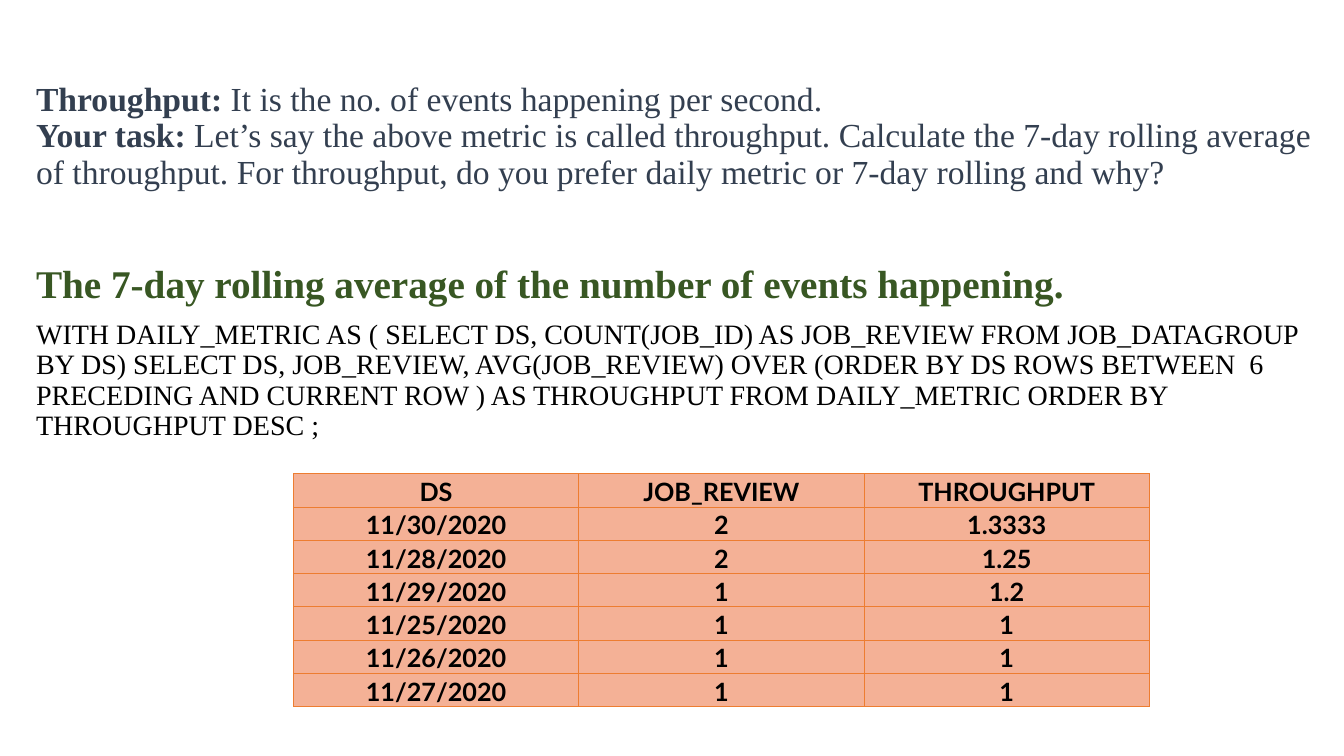
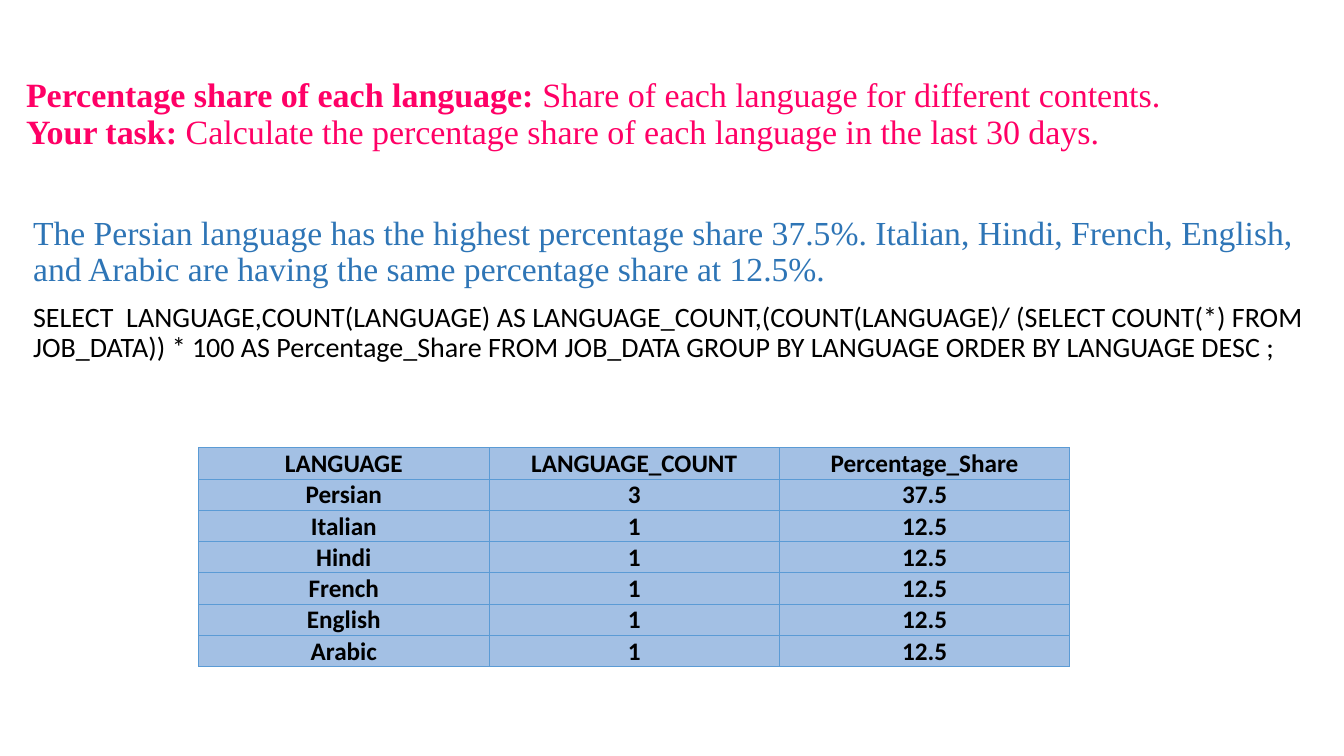
import pptx
import pptx.util
import pptx.dml.color
import pptx.enum.text
import pptx.oxml
import pptx.oxml.ns
from pptx.util import Inches

THEME = {
    "serif": "Times New Roman", "sans": "Calibri", "grid": "Lato",
    "black": "000000", "slate": "333F50", "green": "385723",
    "pink": "FF0066", "blue": "2E75B6",
    "orange_fill": "F4B196", "orange_line": "ED7D31",
    "blue_fill": "A3C0E4", "blue_line": "5B9BD5",
    "lead": 24, "share_lead": 24.3, "heading": 28, "query": 20, "cell": 18,
    "line_spacing": 0.9, "space_before": 10, "border": 0.5,
}


def add_text(slide, left, top, width, height, paragraphs):
    """Each paragraph is (space before, size, font, colour, [(text, bold), ...])."""
    frame = slide.shapes.add_textbox(
        Inches(left), Inches(top), Inches(width), Inches(height)).text_frame
    frame.word_wrap = True
    for index, (before, size, font, colour, pieces) in enumerate(paragraphs):
        paragraph = frame.paragraphs[0] if index == 0 else frame.add_paragraph()
        paragraph.line_spacing = THEME["line_spacing"]
        paragraph.space_before = pptx.util.Pt(before)
        for text, bold in pieces:
            run = paragraph.add_run()
            run.text = text
            run.font.name = THEME[font]
            run.font.size = pptx.util.Pt(THEME[size])
            run.font.bold = bold
            run.font.color.rgb = pptx.dml.color.RGBColor.from_string(THEME[colour])


def add_result_table(slide, left, top, column_width, row_height, font, hue, rows):
    table = slide.shapes.add_table(
        len(rows), len(rows[0]), Inches(left), Inches(top),
        Inches(column_width * len(rows[0])), Inches(row_height * len(rows))).table
    for column in table.columns:
        column.width = Inches(column_width)
    for row, values in zip(table.rows, rows):
        row.height = Inches(row_height)
        for cell, value in zip(row.cells, values):
            cell.margin_left = cell.margin_right = cell.margin_top = Inches(0.01)
            cell.margin_bottom = 0
            cell.vertical_anchor = pptx.enum.text.MSO_ANCHOR.BOTTOM
            cell.text_frame.text = value
            paragraph = cell.text_frame.paragraphs[0]
            paragraph.alignment = pptx.enum.text.PP_ALIGN.CENTER
            text_font = paragraph.runs[0].font
            text_font.name = THEME[font]
            text_font.size = pptx.util.Pt(THEME["cell"])
            text_font.bold = True
            text_font.color.rgb = pptx.dml.color.RGBColor.from_string(THEME["black"])
            # Borders come before the fill in the cell properties
            properties = cell._tc.get_or_add_tcPr()
            for side in ("lnL", "lnR", "lnT", "lnB"):
                properties.append(pptx.oxml.parse_xml(
                    f'<a:{side} {pptx.oxml.ns.nsdecls("a")} '
                    f'w="{int(pptx.util.Pt(THEME["border"]))}"><a:solidFill>'
                    f'<a:srgbClr val="{THEME[hue + "_line"]}"/>'
                    f'</a:solidFill></a:{side}>'))
            cell.fill.solid()
            cell.fill.fore_color.rgb = pptx.dml.color.RGBColor.from_string(
                THEME[hue + "_fill"])


presentation = pptx.Presentation()
presentation.slide_width = Inches(13.33)
presentation.slide_height = Inches(7.5)
blank = presentation.slide_layouts[6]
gap = THEME["space_before"]

# Throughput
throughput = presentation.slides.add_slide(blank)
add_text(throughput, 0.26, 0.77, 12.86, 3.7, [
    (0, "lead", "serif", "slate", [
        ("Throughput:\u00a0".replace("\u00a0", " "), True),
        ("It is the no. of events happening per second.", False)]),
    (0, "lead", "serif", "slate", [
        ("Your task:", True),
        (" Let’s say the above metric is called throughput. Calculate the 7-day "
         "rolling average of throughput. For throughput, do you prefer daily "
         "metric or 7-day rolling and why?", False)]),
    (52, "heading", "serif", "green", [
        ("The 7-day rolling average of the number of events happening.", True)]),
    (gap, "query", "serif", "black", [
        ("WITH DAILY_METRIC AS ( SELECT DS, COUNT(JOB_ID) AS JOB_REVIEW FROM "
         "JOB_DATAGROUP BY DS) SELECT DS, JOB_REVIEW, AVG(JOB_REVIEW) OVER "
         "(ORDER BY DS ROWS BETWEEN  6 PRECEDING AND CURRENT ROW ) AS "
         "THROUGHPUT FROM DAILY_METRIC ORDER BY THROUGHPUT DESC ;", False)]),
])
add_result_table(throughput, 2.91, 4.7, 2.83, 0.33, "grid", "orange", [
    ("DS", "JOB_REVIEW", "THROUGHPUT"),
    ("11/30/2020", "2", "1.3333"),
    ("11/28/2020", "2", "1.25"),
    ("11/29/2020", "1", "1.2"),
    ("11/25/2020", "1", "1"),
    ("11/26/2020", "1", "1"),
    ("11/27/2020", "1", "1"),
])

# Language share
language_share = presentation.slides.add_slide(blank)
add_text(language_share, 0.16, 0.73, 13.1, 0.85, [
    (0, "share_lead", "serif", "pink", [
        ("Percentage share of each language: ", True),
        ("Share of each language for different contents.", False)]),
    (0, "share_lead", "serif", "pink", [
        ("Your task:", True),
        (" Calculate the percentage share of each language in the last 30 days.",
         False)]),
])
add_text(language_share, 0.23, 2.1, 12.95, 1.7, [
    (0, "lead", "serif", "blue", [
        ("The Persian language has the highest percentage share 37.5%. Italian, "
         "Hindi, French, English, and Arabic are having the same percentage "
         "share at 12.5%.", False)]),
    (gap, "query", "sans", "black", [
        ("SELECT  LANGUAGE,COUNT(LANGUAGE) AS LANGUAGE_COUNT,(COUNT(LANGUAGE)/ "
         "(SELECT COUNT(*) FROM JOB_DATA)) * 100 AS Percentage_Share FROM "
         "JOB_DATA GROUP BY LANGUAGE ORDER BY LANGUAGE DESC ;", False)]),
])
add_result_table(language_share, 1.97, 4.44, 2.88, 0.31, "sans", "blue", [
    ("LANGUAGE", "LANGUAGE_COUNT", "Percentage_Share"),
    ("Persian", "3", "37.5"),
    *[(language, "1", "12.5")
      for language in ("Italian", "Hindi", "French", "English", "Arabic")],
])

presentation.save("out.pptx")
